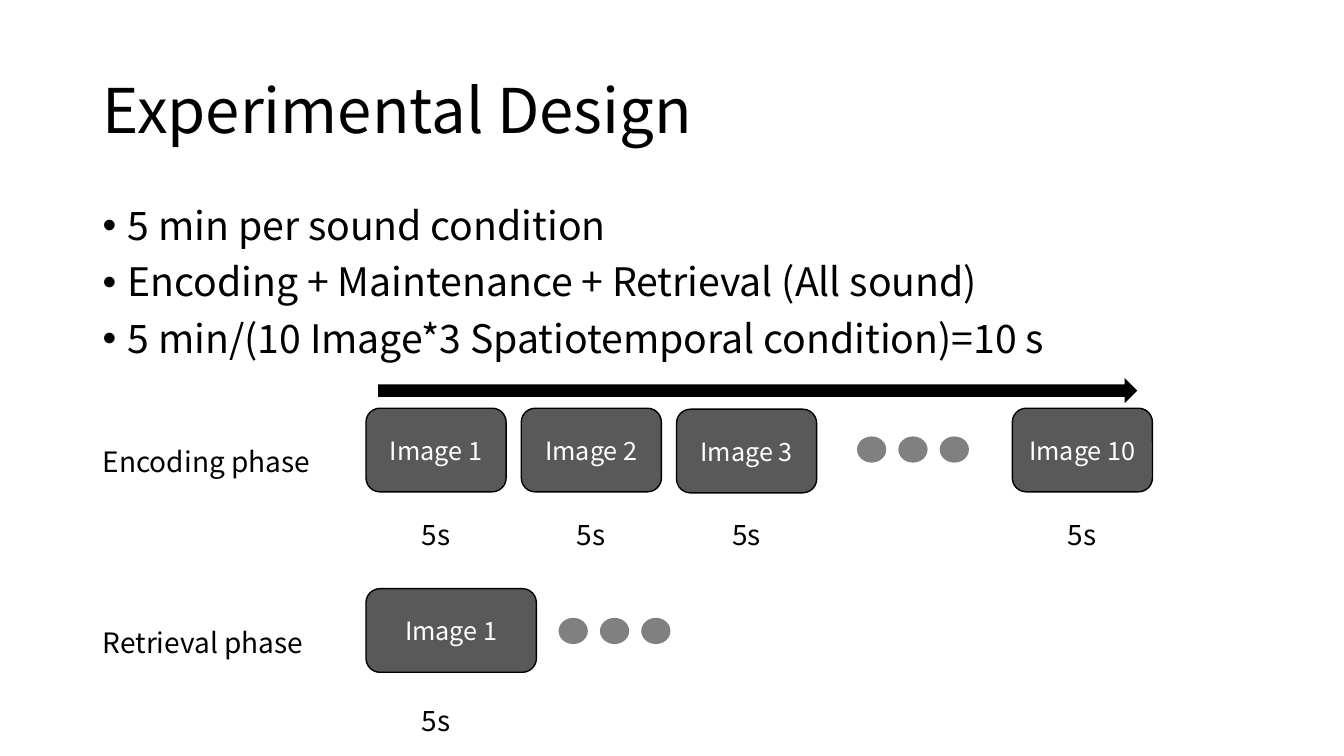
from lxml import etree
from pptx import Presentation
from pptx.dml.color import RGBColor
from pptx.enum.shapes import MSO_SHAPE
from pptx.enum.text import MSO_ANCHOR, MSO_AUTO_SIZE, PP_ALIGN
from pptx.oxml.ns import qn
from pptx.util import Inches, Pt

ROUNDED = MSO_SHAPE.ROUNDED_RECTANGLE
OVAL = MSO_SHAPE.OVAL
RIGHT_ARROW = MSO_SHAPE.RIGHT_ARROW
MIDDLE, TOP = MSO_ANCHOR.MIDDLE, MSO_ANCHOR.TOP
LEFT, CENTER = PP_ALIGN.LEFT, PP_ALIGN.CENTER

BLACK = RGBColor(0x00, 0x00, 0x00)
WHITE = RGBColor(0xFF, 0xFF, 0xFF)
DARK_GRAY = RGBColor(0x59, 0x59, 0x59)
MID_GRAY = RGBColor(0x80, 0x80, 0x80)
FONT = "Noto Sans CJK KR"

MARGIN = 0.92
CONTENT_W = 11.5
FIRST_X = 3.63
STEP = 1.54
BOX_W, BOX_H = 1.39, 0.83
DOT_W, DOT_H, DOT_STEP = 0.29, 0.26, 0.41
TIME_W, TEXT_H = 0.68, 0.54
ENCODING_Y, RETRIEVAL_Y = 4.05, 5.84

prs = Presentation()
prs.slide_width = Inches(13.33)
prs.slide_height = Inches(7.5)
slide = prs.slides.add_slide(prs.slide_layouts[5])


def write(holder, lines, size, color=BLACK, align=LEFT, anchor=TOP, spacing=1.0):
    frame = holder.text_frame
    frame.text = "\n".join(lines)
    frame.word_wrap = True
    frame.auto_size = MSO_AUTO_SIZE.NONE
    frame.vertical_anchor = anchor
    for paragraph in frame.paragraphs:
        paragraph.alignment = align
        paragraph.line_spacing = spacing
        font = paragraph.runs[0].font
        font.name, font.size, font.color.rgb = FONT, Pt(size), color


def add_filled(kind, x, y, w, h, color):
    shape = slide.shapes.add_shape(kind, Inches(x), Inches(y), Inches(w), Inches(h))
    shape.shadow.inherit = False
    shape.fill.solid()
    shape.fill.fore_color.rgb = color
    shape.line.fill.background()
    return shape


title = slide.shapes.title
title.left, title.top = Inches(MARGIN), Inches(0.4)
title.width, title.height = Inches(CONTENT_W), Inches(1.45)
write(title, ["Experimental Design"], 44, anchor=MIDDLE, spacing=0.9)

timing = slide.shapes.add_textbox(Inches(MARGIN), Inches(2), Inches(CONTENT_W), Inches(1.75))
write(timing, [
    "5 min per sound condition",
    "Encoding + Maintenance + Retrieval (All sound)",
    "5 min/(10 Image*3 Spatiotemporal condition)=10 s",
], 28, spacing=0.9)
for paragraph in timing.text_frame.paragraphs:
    paragraph.space_before = Pt(10)
    properties = paragraph._p.get_or_add_pPr()
    properties.set("marL", str(Inches(0.25)))
    properties.set("indent", str(-Inches(0.25)))
    etree.SubElement(properties, qn("a:buFont")).set("typeface", "Arial")
    etree.SubElement(properties, qn("a:buChar")).set("char", "•")

add_filled(RIGHT_ARROW, 3.75, 3.75, 7.53, 0.25, BLACK)

image_boxes = [
    ("Image 1", FIRST_X, ENCODING_Y, BOX_W, 4.92),
    ("Image 2", FIRST_X + STEP, ENCODING_Y, BOX_W, 4.92),
    ("Image 3", FIRST_X + 2 * STEP, ENCODING_Y + 0.01, BOX_W, 4.92),
    ("Image 10", 10.04, ENCODING_Y, BOX_W, 4.92),
    ("Image 1", FIRST_X, RETRIEVAL_Y, 1.69, 6.76),
]
for name, x, y, width, time_y in image_boxes:
    image_box = add_filled(ROUNDED, x, y, width, BOX_H, DARK_GRAY)
    image_box.line.color.rgb = BLACK
    image_box.line.width = Pt(1)
    write(image_box, [name], 18, WHITE, CENTER, MIDDLE)
    duration = slide.shapes.add_textbox(
        Inches(x + (BOX_W - TIME_W) / 2), Inches(time_y), Inches(TIME_W), Inches(TEXT_H))
    write(duration, ["5s"], 20, align=CENTER, spacing=1.5)

phases = [
    ("Encoding phase", ENCODING_Y, 4.19, 8.5, 4.33),
    ("Retrieval phase", RETRIEVAL_Y, 5.99, 5.54, 6.13),
]
for name, row_y, label_y, dots_x, dots_y in phases:
    phase_label = slide.shapes.add_textbox(
        Inches(MARGIN), Inches(label_y), Inches(2.59), Inches(TEXT_H))
    write(phase_label, [name], 20, spacing=1.5)
    for i in range(3):
        add_filled(OVAL, dots_x + i * DOT_STEP, dots_y, DOT_W, DOT_H, MID_GRAY)

prs.save("out.pptx")
